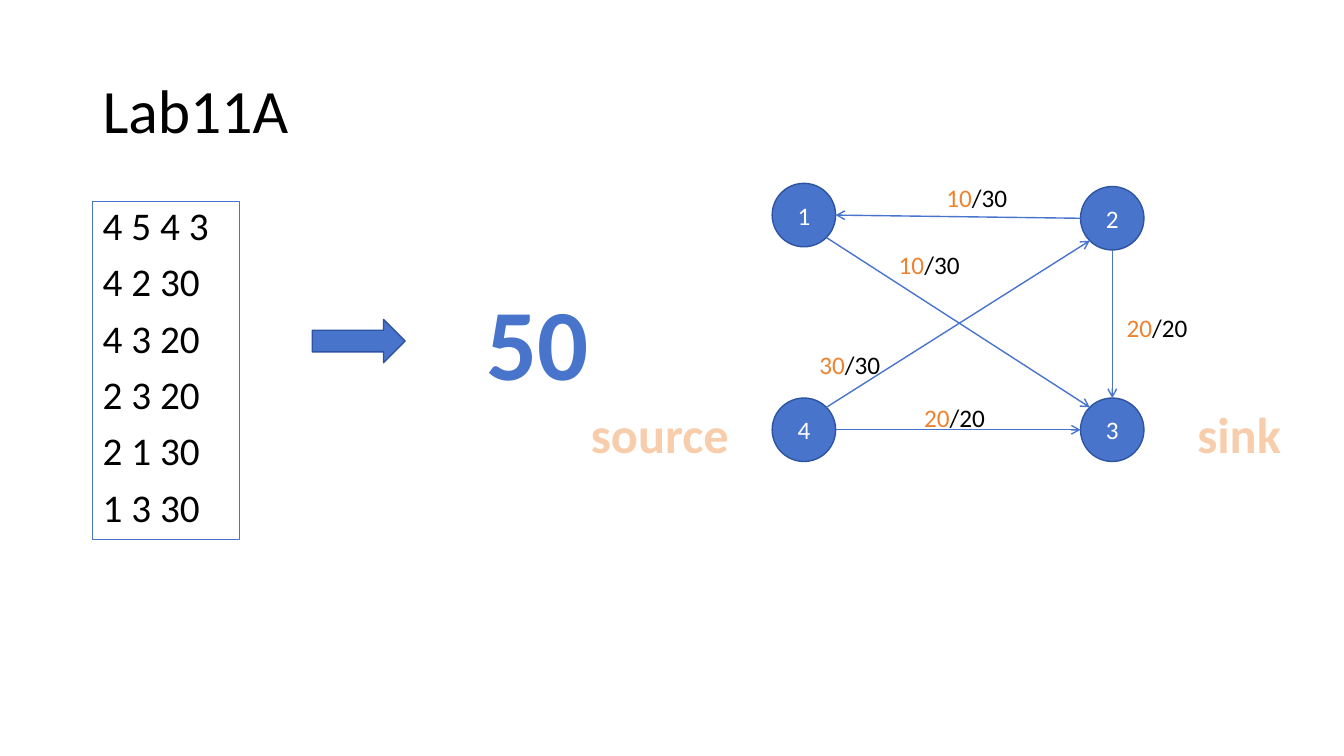
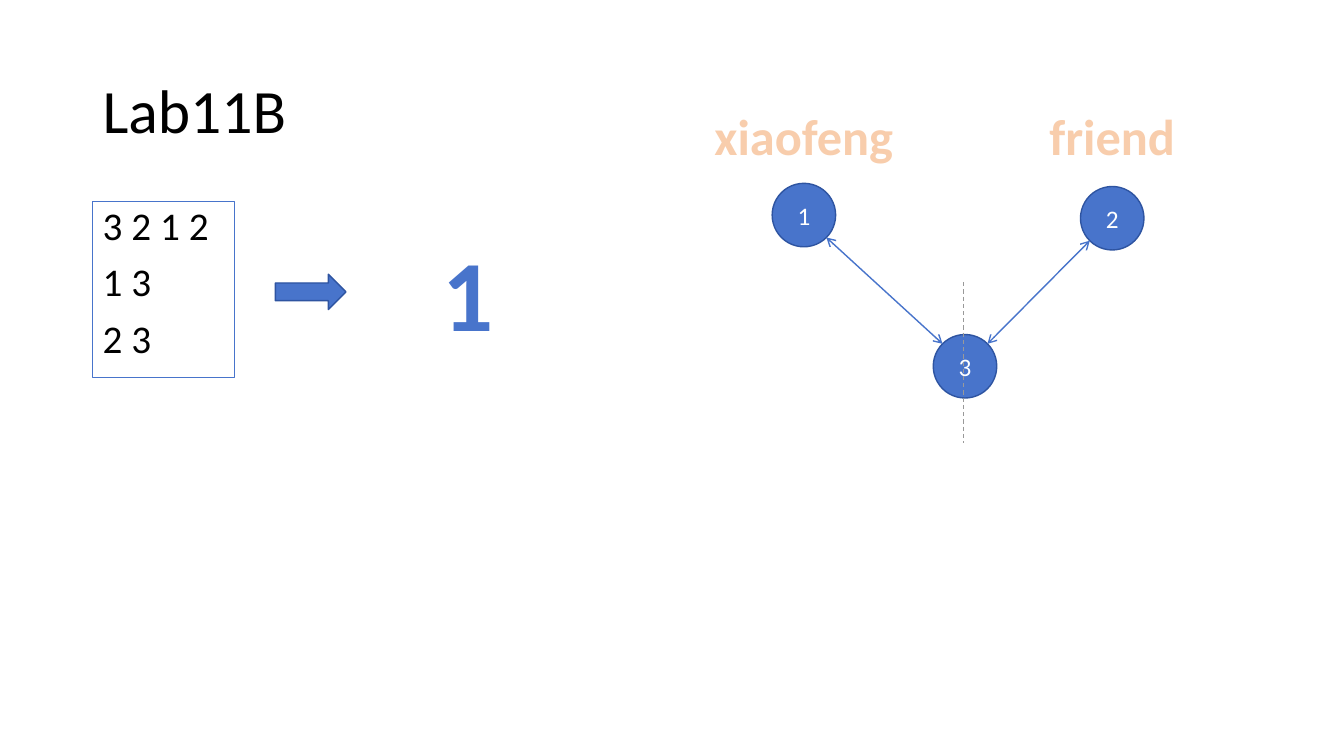
from math import cos, radians, sin

from lxml import etree
from pptx import Presentation
from pptx.dml.color import RGBColor
from pptx.enum.dml import MSO_LINE
from pptx.enum.shapes import MSO_CONNECTOR, MSO_SHAPE
from pptx.enum.text import MSO_ANCHOR, PP_ALIGN
from pptx.oxml.ns import qn
from pptx.util import Cm, Pt

BLUE = RGBColor(0x48, 0x74, 0xCB)
NAVY = RGBColor(0x2E, 0x54, 0xA1)
ORANGE = RGBColor(0xEE, 0x82, 0x2F)
PEACH = RGBColor(0xF8, 0xCD, 0xAC)
GREY = RGBColor(0x99, 0x99, 0x99)
BLACK = RGBColor(0, 0, 0)
WHITE = RGBColor(0xFF, 0xFF, 0xFF)
FONT = "Calibri"
LEFT, CENTER = PP_ALIGN.LEFT, PP_ALIGN.CENTER
MIDDLE = MSO_ANCHOR.MIDDLE
OVAL, ARROW = MSO_SHAPE.OVAL, MSO_SHAPE.RIGHT_ARROW
STRAIGHT, DASH = MSO_CONNECTOR.STRAIGHT, MSO_LINE.DASH
SIZE = 1.6
E, NE, N, NW, W, SW, S, SE = range(0, 360, 45)


def style(run, size, color, bold=False):
    """Set the font of a run."""
    font = run.font
    font.name, font.size, font.bold = FONT, Pt(size), bold
    font.color.rgb = color


def add_text(slide, box, text, size, color, bold=False, align=LEFT):
    """Add a text box with one style."""
    item = slide.shapes.add_textbox(*map(Cm, box))
    frame = item.text_frame
    frame.word_wrap = True
    frame.text = text
    for para in frame.paragraphs:
        para.alignment = align
        for run in para.runs:
            style(run, size, color, bold)
    return item


def add_label(slide, mid, top, wide, high, text, size, color):
    """Add bold text centred at mid."""
    box = (mid - wide / 2, top, wide, high)
    add_text(slide, box, text, size, color, True, CENTER)


def add_solid(slide, kind, box):
    """Add a blue shape with a dark edge."""
    item = slide.shapes.add_shape(kind, *map(Cm, box))
    item.shadow.inherit = False
    item.fill.solid()
    item.fill.fore_color.rgb = BLUE
    item.line.color.rgb = NAVY
    item.line.width = Pt(1)
    return item


def add_line(slide, start, end, color=BLUE, width=1, heads=()):
    """Add a straight line with optional arrowheads."""
    item = slide.shapes.add_connector(STRAIGHT, *map(Cm, (*start, *end)))
    item.line.color.rgb = color
    item.line.width = Pt(width)
    etree.SubElement(item._element.spPr, qn("a:effectLst"))
    for head in heads:
        etree.SubElement(item.line._get_or_add_ln(), qn(head), type="arrow")
    return item


def add_title(slide, box, text):
    """Place and format the title."""
    title = slide.shapes.title
    title.left, title.top, title.width, title.height = map(Cm, box)
    frame = title.text_frame
    frame.text = text
    frame.vertical_anchor = MIDDLE
    para = frame.paragraphs[0]
    para.alignment, para.line_spacing = LEFT, 0.9
    style(para.runs[0], 44, BLACK)


def add_case(slide, box, lines, arrow, answer, mid):
    """Place the input box, the arrow and the answer centred at mid."""
    left, top = box[:2]
    item = add_text(slide, box, "\n".join(lines), 28, BLACK)
    item.line.color.rgb = BLUE
    item.line.width = Pt(0.75)
    for para in item.text_frame.paragraphs:
        para.line_spacing, para.space_before = 0.9, Pt(10)
    x, y, wide, high = arrow
    add_solid(slide, ARROW, (left + x, top + y, wide, high))
    tall = 3.33
    add_label(slide, left + mid, top + y + (high - tall) / 2, 4, tall,
              answer, 72, BLUE)


def add_graph(slide, left, top, nodes, edges, names, heads, costs=()):
    """Draw nodes, edges, names and flow labels from a corner."""
    for key, (x, y) in nodes.items():
        node = add_solid(slide, OVAL, (left + x, top + y, SIZE, SIZE))
        frame = node.text_frame
        frame.text = key
        frame.vertical_anchor = MIDDLE
        frame.paragraphs[0].alignment = CENTER
        style(frame.paragraphs[0].runs[0], 18, WHITE)

    def rim(key, angle):
        """Return the point of a node's rim at an angle."""
        x, y = nodes[key]
        turn, half = radians(angle), SIZE / 2
        return left + x + half + half * cos(turn), top + y + half - half * sin(turn)

    for start, out, end, into in edges:
        add_line(slide, rim(start, out), rim(end, into), heads=heads)
    for flow, cap, x, y in costs:
        spot = (left + x, top + y, 2.7, 1.02)
        item = add_text(slide, spot, flow, 18, ORANGE)
        run = item.text_frame.paragraphs[0].add_run()
        run.text = f"/{cap}"
        style(run, 18, BLACK)
    for name, mid, y in names:
        add_label(slide, left + mid, top + y, 5.2, 1.8, name, 36, PEACH)


def new_slide(deck, title):
    """Add a slide with its title."""
    slide = deck.slides.add_slide(deck.slide_layouts[5])
    add_title(slide, (2.33, 1.02, 29.21, 3.68), title)
    return slide


def flow_slide(deck):
    """Build the slide on maximum flow."""
    slide = new_slide(deck, "Lab11A")
    lines = ["4 5 4 3", "4 2 30", "4 3 20", "2 3 20", "2 1 30", "1 3 30"]
    add_case(slide, (2.34, 5.08, 3.7, 8.52), lines,
             (5.53, 2.97, 2.34, 1.09), "50", 11.21)
    nodes = {"1": (0, 0), "2": (7.77, 0.08), "3": (7.77, 5.41), "4": (0, 5.41)}
    edges = [("4", E, "3", W), ("4", NE, "2", SW), ("2", S, "3", N),
             ("2", W, "1", E), ("1", SE, "3", NW)]
    costs = [("30", 30, 0.94, 4.07), ("20", 20, 3.58, 5.39), ("20", 20, 8.68, 3.13),
             ("10", 30, 2.94, 1.53), ("10", 30, 4.14, -0.15)]
    names = [("source", -2.83, 5.41), ("sink", 11.77, 5.41)]
    add_graph(slide, 19.46, 4.62, nodes, edges, names, ["a:tailEnd"], costs)


def cut_slide(deck):
    """Build the slide on the minimum cut."""
    slide = new_slide(deck, "Lab11B")
    add_case(slide, (2.34, 5.08, 3.58, 4.44), ["3 2 1 2", "1 3", "2 3"],
             (4.6, 1.83, 1.78, 0.89), "1", 9.46)
    left, top = 19.46, 4.62
    nodes = {"1": (0, 0), "2": (7.77, 0.08), "3": (4.06, 3.81)}
    edges = [("2", SW, "3", NE), ("1", SE, "3", NW)]
    names = [("xiaofeng", 0.8, -2.1), ("friend", 8.57, -2.1)]
    add_graph(slide, left, top, nodes, edges, names, ["a:headEnd", "a:tailEnd"])
    x = left + 4.82
    cut = add_line(slide, (x, top + 2.49), (x, top + 6.55), GREY, 0.75)
    cut.line.dash_style = DASH


def main():
    """Build and save the deck."""
    deck = Presentation()
    deck.slide_width, deck.slide_height = Cm(33.87), Cm(19.05)
    flow_slide(deck)
    cut_slide(deck)
    deck.save("out.pptx")


if __name__ == "__main__":
    main()
